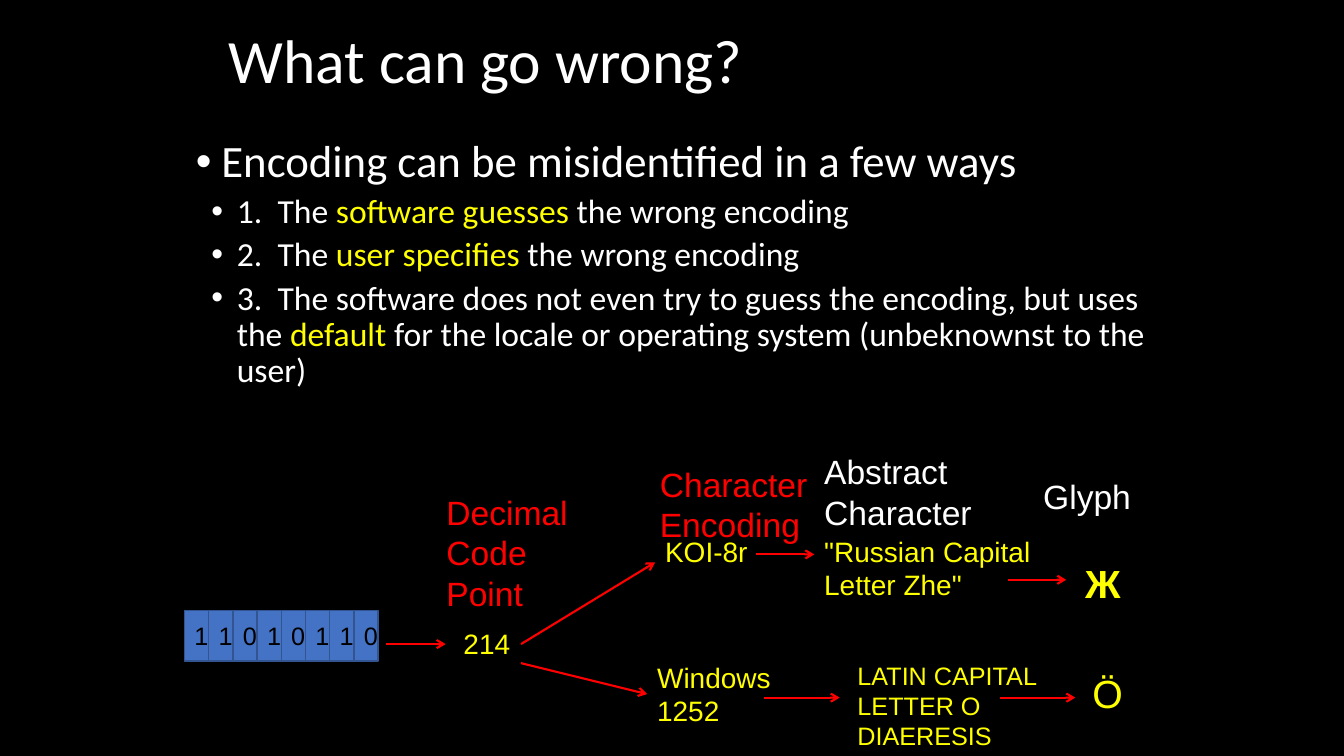
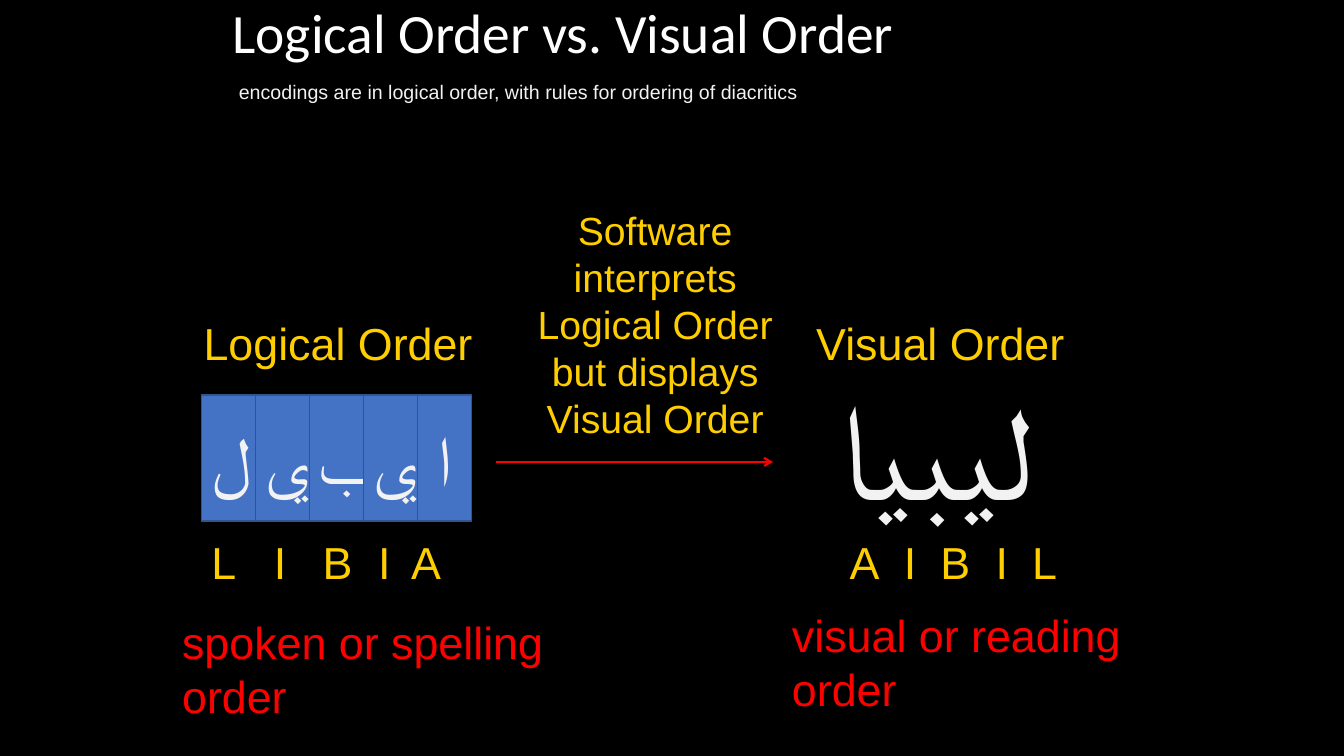
from dataclasses import dataclass

from lxml import etree
from pptx import Presentation
from pptx.dml.color import RGBColor
from pptx.enum.shapes import MSO_CONNECTOR, MSO_SHAPE
from pptx.enum.text import MSO_ANCHOR, MSO_AUTO_SIZE, PP_ALIGN
from pptx.oxml.ns import qn
from pptx.util import Cm, Pt

RECT = MSO_SHAPE.RECTANGLE
LINE = MSO_CONNECTOR.STRAIGHT
MIDDLE = MSO_ANCHOR.MIDDLE
GROW = MSO_AUTO_SIZE.SHAPE_TO_FIT_TEXT
CENTER = PP_ALIGN.CENTER
LEFT_SIDE, RIGHT_SIDE = 1, 3


@dataclass(frozen=True)
class Theme:
    black: str = "000000"
    white: str = "FFFFFF"
    pale: str = "F2F2F2"
    red: str = "FF0000"
    yellow: str = "FFFF00"
    gold: str = "FECE00"
    blue: str = "4472C4"
    edge: str = "325491"
    sans: str = "Calibri"
    plain: str = "Arial"
    title: float = 44
    title_two: float = 39.6
    body: float = 32
    point: float = 24
    head: float = 24
    term: float = 20
    small: float = 18
    note: float = 14
    glyph: float = 28
    letter: float = 48
    word: float = 96
    order: float = 32


T = Theme()


def rgb(code):
    return RGBColor.from_string(code)


def style(font, size, color, face=T.plain, bold=False):
    font.name = face
    font.size = Pt(size)
    font.color.rgb = rgb(color)
    font.bold = bold


class Deck:
    def __init__(self):
        self.prs = Presentation()
        self.prs.slide_width = Cm(33.87)
        self.prs.slide_height = Cm(19.05)
        self.slide = None

    def page(self):
        self.slide = self.prs.slides.add_slide(self.prs.slide_layouts[6])
        fill = self.slide.background.fill
        fill.solid()
        fill.fore_color.rgb = rgb(T.black)

    def box(self, at, wrap=True):
        shape = self.slide.shapes.add_textbox(*map(Cm, at))
        shape.text_frame.word_wrap = wrap
        return shape

    def title(self, text, at, size):
        frame = self.box(at).text_frame
        frame.vertical_anchor = MIDDLE
        frame.text = text
        para = frame.paragraphs[0]
        para.line_spacing = 0.9
        style(para.runs[0].font, size, T.white, T.sans)

    def label(self, text, at, size, color, wrap=False, align=None, bold=False):
        shape = self.box(at, wrap)
        frame = shape.text_frame
        frame.auto_size = GROW
        frame.text = text
        for para in frame.paragraphs:
            para.alignment = align
            for run in para.runs:
                style(run.font, size, color, bold=bold)
        return shape

    def spread(self, letters, at, stops):
        shape = self.label("\t".join(letters), at, T.order, T.gold, wrap=True)
        props = shape.text_frame.paragraphs[0]._p.get_or_add_pPr()
        tabs = etree.SubElement(props, qn("a:tabLst"))
        for stop in stops:
            etree.SubElement(tabs, qn("a:tab"), pos=str(Cm(stop)), algn="l")

    def bullets(self, items, at):
        frame = self.box(at).text_frame
        for i, (level, parts) in enumerate(items):
            para = frame.add_paragraph() if i else frame.paragraphs[0]
            para.level = level
            para.line_spacing = 0.9
            if i:
                para.space_before = Pt(5)
            props = para._p.get_or_add_pPr()
            props.set("marL", str(Cm(1.91 if level else 1.52)))
            props.set("indent", str(Cm(-0.64)))
            face = etree.SubElement(props, qn("a:buFont"))
            face.set("typeface", T.plain)
            etree.SubElement(props, qn("a:buChar"), char="•")
            for text, color in parts:
                run = para.add_run()
                run.text = text
                style(run.font, T.point if level else T.body, color, T.sans)

    def cells(self, marks, at, size, color, face):
        left, top, width, height = at
        group = self.slide.shapes.add_group_shape()
        for i, mark in enumerate(marks):
            cell = group.shapes.add_shape(
                RECT, Cm(left + i * width), Cm(top), Cm(width), Cm(height))
            cell.shadow.inherit = False
            cell.fill.solid()
            cell.fill.fore_color.rgb = rgb(T.blue)
            cell.line.color.rgb = rgb(T.edge)
            cell.line.width = Pt(1)
            frame = cell.text_frame
            frame.vertical_anchor = MIDDLE
            frame.text = mark
            para = frame.paragraphs[0]
            para.alignment = CENTER
            style(para.runs[0].font, size, color, face)

    def arrow(self, start, end, tail=None, head=None):
        line = self.slide.shapes.add_connector(LINE, *map(Cm, start + end))
        line.line.color.rgb = rgb(T.red)
        line.line.width = Pt(1.5)
        if tail is not None:
            line.begin_connect(tail, RIGHT_SIDE)
        if head is not None:
            line.end_connect(head, LEFT_SIDE)
        etree.SubElement(line.line._get_or_add_ln(), qn("a:tailEnd"), type="arrow")
        etree.SubElement(line._element.spPr, qn("a:effectLst"))


def wrong(deck):
    deck.page()
    deck.title("What can go wrong?", (5.51, 0, 20.75, 3.18), T.title)
    white, yellow = T.white, T.yellow
    deck.bullets([
        (0, [("Encoding can be misidentified in a few ways", white)]),
        (1, [("1.  The ", white), ("software guesses ", yellow),
             ("the wrong encoding", white)]),
        (1, [("2.  The ", white), ("user specifies ", yellow),
             ("the wrong encoding", white)]),
        (1, [("3.  The software does not even try to guess the encoding, "
              "but uses the ", white), ("default", yellow),
             (" for the locale or operating system "
              "(unbeknownst to the user)", white)]),
    ], (3.81, 3.38, 25.4, 9.1))
    deck.cells("11010110", (4.65, 15.39, 0.61, 1.27), T.small, T.black, T.plain)

    for text, at, color in (
        ("Decimal\nCode\nPoint", (11, 12.27, 3.6, 3.33), T.red),
        ("Abstract\nCharacter", (20.52, 11.25, 4.27, 2.31), white),
        ("Glyph", (26.04, 11.86, 2.74, 1.3), white),
        ("Character\nEncoding", (16.38, 11.56, 4.27, 2.31), T.red),
    ):
        deck.label(text, at, T.head, color)

    code = deck.label("214", (11.43, 15.67, 1.7, 1.12), T.term, yellow)
    deck.label("KOI-8r", (16.51, 13.34, 2.62, 1.12), T.term, yellow)
    latin = deck.label("Windows\n1252", (16.31, 16.51, 3.4, 1.96), T.term, yellow)
    deck.label('"Russian Capital Letter Zhe"', (20.52, 13.34, 5.92, 1.96),
               T.term, yellow, wrap=True)
    deck.label("LATIN CAPITAL LETTER O DIAERESIS", (21.36, 16.51, 6.78, 2.54),
               T.small, yellow, wrap=True)
    deck.label("Ж", (27.1, 13.97, 1.42, 1.45), T.glyph, yellow, bold=True)
    deck.label("Ö", (27.28, 16.74, 1.3, 1.45), T.glyph, yellow)

    deck.arrow((13.13, 16.23), (16.51, 14.17), tail=code)
    deck.arrow((13.13, 16.71), (16.31, 17.58), head=latin)
    for left, right, y in (
        (9.73, 11.23, 16.23),
        (19.05, 20.52, 13.97),
        (25.4, 26.87, 14.61),
        (19.25, 21.16, 17.58),
        (25.2, 27.1, 17.58),
    ):
        deck.arrow((left, y), (right, y))


def order(deck):
    deck.page()
    deck.title("Logical Order vs. Visual Order", (5.61, 0.08, 20.75, 1.65),
               T.title_two)
    deck.label("encodings are in logical order, with rules for ordering of "
               "diacritics", (5.77, 1.88, 16.2, 1.45), T.note, T.pale, wrap=True)
    deck.cells("ليبيا", (5.08, 9.95, 1.36, 3.18), T.letter, T.pale, T.sans)
    deck.label("ليبيا", (20.85, 9.09, 6.1, 4.37), T.word, T.pale)
    deck.arrow((12.5, 11.64), (19.48, 11.64))
    deck.label("Software interprets Logical Order but displays Visual Order",
               (12.7, 5.08, 7.62, 6.25), T.glyph, T.gold, wrap=True, align=CENTER)
    deck.label("Logical Order", (4.88, 7.82, 7.34, 1.63), T.order, T.gold)
    deck.label("Visual Order", (20.32, 7.82, 6.83, 1.63), T.order, T.gold)
    deck.spread("LIBIA", (5.08, 13.34, 7, 1.63), (1.57, 2.8, 4.2, 5.03))
    deck.spread("AIBIL", (21.16, 13.34, 7, 1.63), (1.37, 2.29, 3.68, 4.6))
    deck.label("spoken or spelling order", (4.34, 15.37, 10.03, 3.05),
               T.order, T.red, wrap=True)
    deck.label("visual or reading order", (19.71, 15.19, 9.83, 3.05),
               T.order, T.red, wrap=True)


def main():
    deck = Deck()
    wrong(deck)
    order(deck)
    deck.prs.save("out.pptx")


if __name__ == "__main__":
    main()
